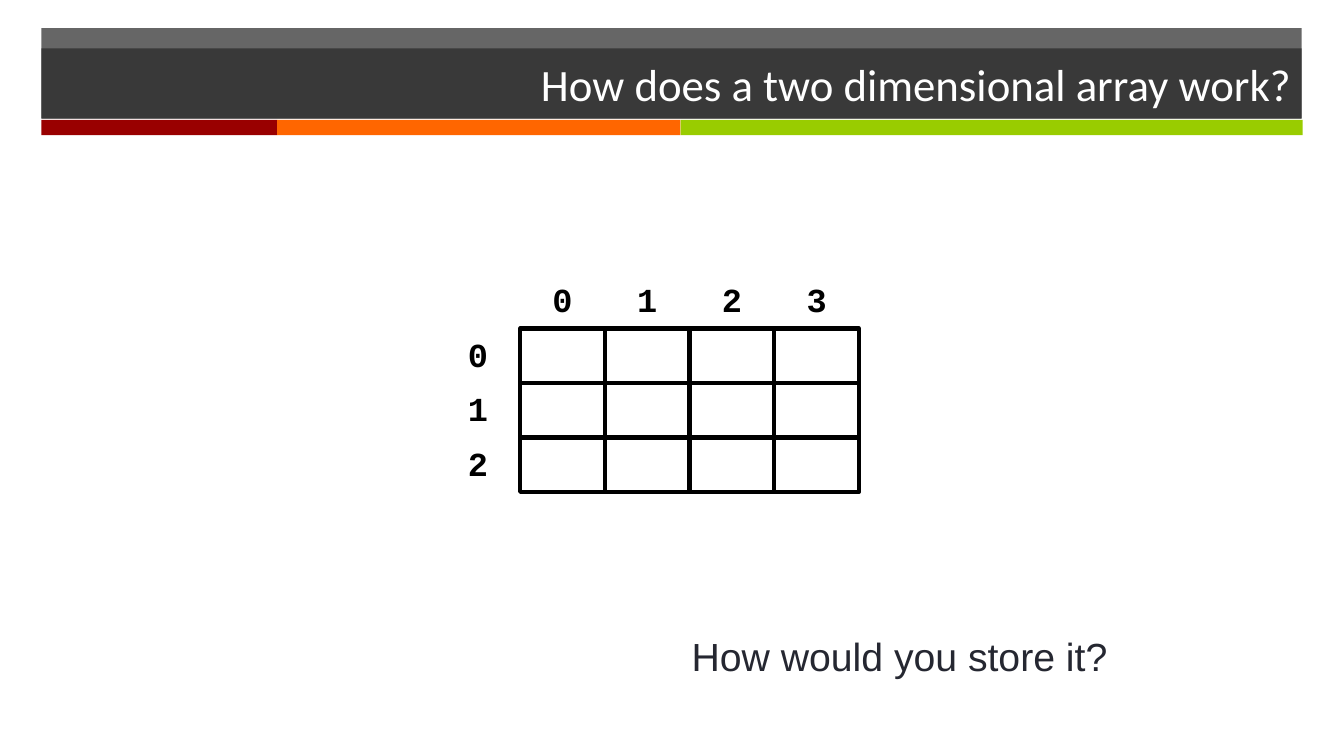
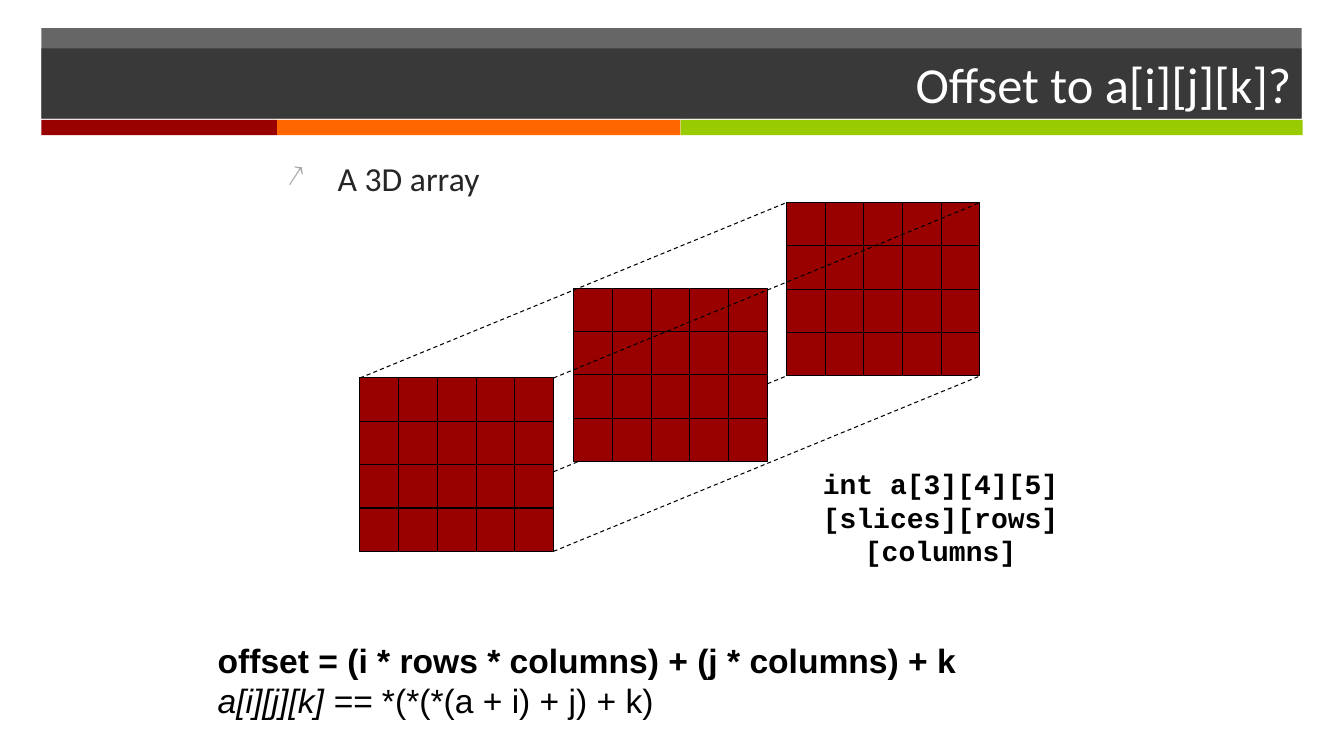
from lxml.etree import SubElement
from pptx import Presentation
from pptx.dml.color import RGBColor
from pptx.enum.dml import MSO_LINE
from pptx.enum.shapes import MSO_CONNECTOR, MSO_SHAPE
from pptx.enum.text import MSO_ANCHOR, PP_ALIGN
from pptx.oxml.ns import qn
from pptx.util import Inches, Pt

COLOURS = {
    "band": "262626",
    "red": "990000",
    "orange": "FF6600",
    "green": "99CC00",
    "white": "FFFFFF",
    "black": "000000",
    "question": "252731",
    "bullet": "A6A6A6",
}
STRIPES = [("red", 0.41, 2.34), ("orange", 2.75, 4), ("green", 6.75, 6.17)]


class Deck:
    """Holds the shared style and the slide being drawn."""

    def __init__(self):
        self.presentation = Presentation()
        self.presentation.slide_width = Inches(13.33)
        self.presentation.slide_height = Inches(7.5)
        self.slide = None

    def colour(self, name):
        return RGBColor.from_string(COLOURS[name])

    def start_slide(self, title, size):
        layout = self.presentation.slide_layouts[6]
        self.slide = self.presentation.slides.add_slide(layout)
        self.rectangle(0.41, 0.28, 12.5, 0.89, "band", opacity=70)
        for name, left, width in STRIPES:
            self.rectangle(left, 1.19, width, 0.15, name)
        shape = self.rectangle(0.41, 0.48, 12.5, 0.7, "band", opacity=70)
        frame = shape.text_frame
        frame.word_wrap = True
        frame.vertical_anchor = MSO_ANCHOR.MIDDLE
        paragraph = frame.paragraphs[0]
        paragraph.alignment = PP_ALIGN.RIGHT
        self.run(paragraph, title, "Calibri", size, "white")

    def rectangle(self, left, top, width, height, fill=None, line=None,
                  opacity=None, parent=None):
        shapes = (parent or self.slide).shapes
        shape = shapes.add_shape(MSO_SHAPE.RECTANGLE, Inches(left), Inches(top),
                                 Inches(width), Inches(height))
        shape.shadow.inherit = False
        if fill:
            shape.fill.solid()
            shape.fill.fore_color.rgb = self.colour(fill)
        else:
            shape.fill.background()
        if opacity:
            colour = shape.fill._xPr.find(".//" + qn("a:srgbClr"))
            SubElement(colour, qn("a:alpha"), val=str(opacity * 1000))
        if line:
            shape.line.color.rgb = self.colour("black")
            shape.line.width = Pt(line)
        else:
            shape.line.fill.background()
        return shape

    def grid(self, left, top, rows, columns, width, height, line, fill=None):
        group = self.slide.shapes.add_group_shape()
        for row in range(rows):
            for column in range(columns):
                self.rectangle(left + column * width, top + row * height,
                               width, height, fill, line, parent=group)

    def run(self, paragraph, words, font, size, colour, bold=False, italic=False):
        run = paragraph.add_run()
        run.text = words
        run.font.name = font
        run.font.size = Pt(size)
        run.font.bold = bold
        run.font.italic = italic
        run.font.color.rgb = self.colour(colour)

    def text(self, left, top, width, height, lines, font, size, colour="black",
             align=PP_ALIGN.LEFT, anchor=MSO_ANCHOR.TOP, wrap=True):
        box = self.slide.shapes.add_textbox(Inches(left), Inches(top),
                                            Inches(width), Inches(height))
        frame = box.text_frame
        frame.word_wrap = wrap
        frame.vertical_anchor = anchor
        for index, runs in enumerate(lines):
            paragraph = frame.add_paragraph() if index else frame.paragraphs[0]
            paragraph.alignment = align
            for words, style in runs:
                self.run(paragraph, words, font, size, colour, **style)
        return frame

    def bullet(self, paragraph, character):
        paragraph.space_before = Pt(20)
        properties = paragraph._p.get_or_add_pPr()
        properties.set("marL", str(Inches(0.5)))
        properties.set("indent", str(-Inches(0.5)))
        colour = SubElement(properties, qn("a:buClr"))
        SubElement(colour, qn("a:srgbClr"), val=COLOURS["bullet"])
        SubElement(properties, qn("a:buSzPct"), val="90000")
        SubElement(properties, qn("a:buChar"), char=character)

    def dashed_line(self, start, end):
        connector = self.slide.shapes.add_connector(
            MSO_CONNECTOR.STRAIGHT, *map(Inches, start + end))
        connector.line.color.rgb = self.colour("black")
        connector.line.width = Pt(0.75)
        connector.line.dash_style = MSO_LINE.DASH
        SubElement(connector._element.spPr, qn("a:effectLst"))


def draw_two_dimensional_array(deck):
    deck.start_slide("How does a two dimensional array work?", 32)
    deck.text(6.31, 6.01, 4.77, 1, [[("How would you store it?", {})]],
              "Arial", 28, "question", PP_ALIGN.RIGHT, MSO_ANCHOR.MIDDLE)
    left, top, width, height = 5.16, 3.26, 0.84, 0.54
    rows, columns = 3, 4
    deck.grid(left, top, rows, columns, width, height, 3)
    labels = [(column, left + column * width, top - height)
              for column in range(columns)]
    labels += [(row, left - width, top + row * height) for row in range(rows)]
    for number, label_left, label_top in labels:
        deck.text(label_left, label_top, width, height,
                  [[(str(number), {"bold": True})]], "Courier New", 24,
                  align=PP_ALIGN.CENTER)


def draw_three_dimensional_array(deck):
    deck.start_slide("Offset to a[i][j][k]?", 36)
    rows, columns = 4, 5
    width, height = 1.92, 1.72
    front, middle, back = (3.57, 3.75), (5.69, 2.86), (7.8, 2.01)

    def join_corner(right, down):
        start, end = [(left + right * width, top + down * height)
                      for left, top in (front, back)]
        deck.dashed_line(start, end)

    join_corner(0, 1)
    body = deck.text(2.75, 1.52, 9.25, 5.36, [[("A 3D array", {})]],
                     "Calibri", 24, "band")
    deck.bullet(body.paragraphs[0], "↗")
    for left, top in (middle, front, back):
        deck.grid(left, top, rows, columns, width / columns, height / rows,
                  0.75, "red")
    for right, down in ((0, 0), (1, 1), (1, 0)):
        join_corner(right, down)

    bold = {"bold": True}
    deck.text(7.83, 4.58, 3, 1.1,
              [[("int a[3][4][5]", bold)], [("[slices][rows][columns]", bold)]],
              "Courier New", 20, align=PP_ALIGN.CENTER)
    deck.text(2.06, 6.3, 7.59, 1,
              [[("offset = (i * rows * columns) + (j * columns) + k", bold)],
               [("a[i][j][k] == ", {"italic": True}),
                ("*(*(*(a + i) + j) + k)", {})]],
              "Arial", 24, wrap=False)


def main():
    deck = Deck()
    draw_two_dimensional_array(deck)
    draw_three_dimensional_array(deck)
    deck.presentation.save("out.pptx")


if __name__ == "__main__":
    main()
